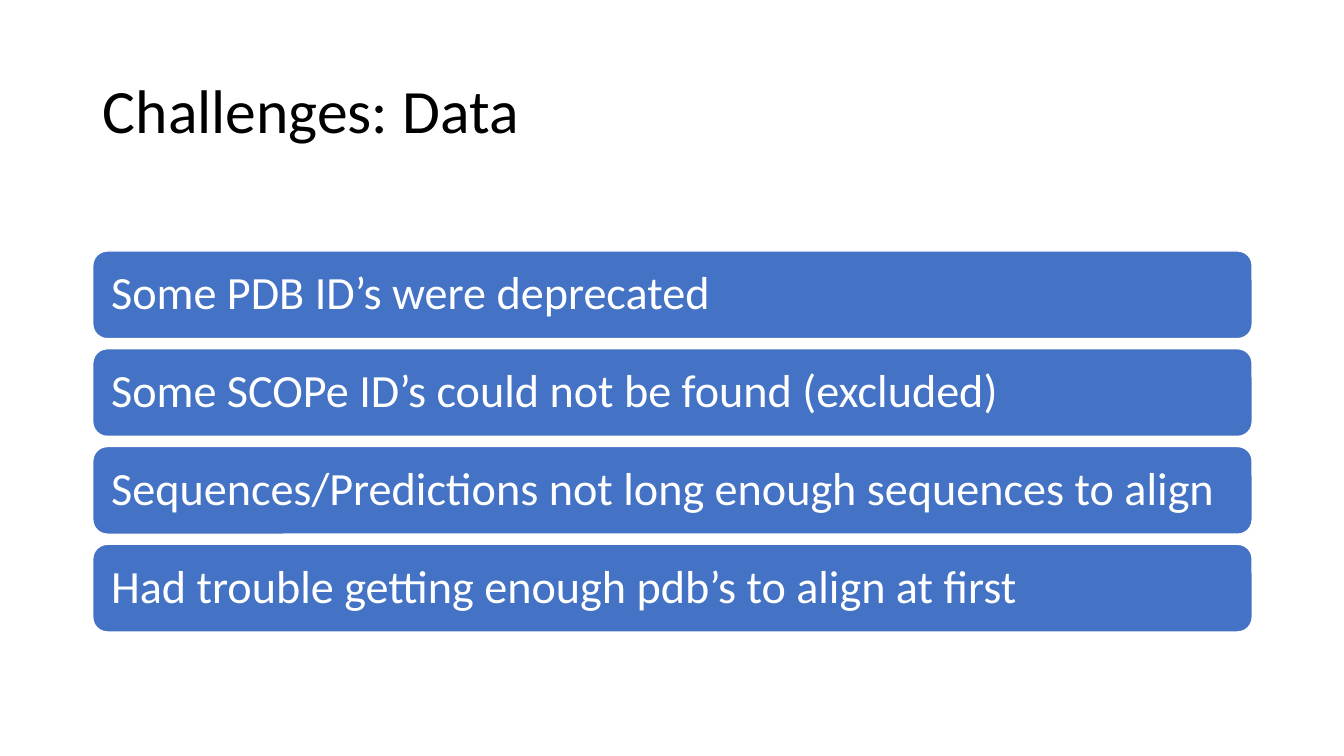
"""Build the slide listing the data challenges as a stack of rounded bars."""
from pptx import Presentation
from pptx.dml.color import RGBColor
from pptx.enum.shapes import MSO_SHAPE
from pptx.enum.text import MSO_ANCHOR, MSO_AUTO_SIZE, PP_ALIGN
from pptx.util import Inches, Pt

ROUNDED = MSO_SHAPE.ROUNDED_RECTANGLE
MIDDLE = MSO_ANCHOR.MIDDLE
LEFT_ALIGNED = PP_ALIGN.LEFT
NO_AUTOFIT = MSO_AUTO_SIZE.NONE

HEADING = "Challenges: Data"
CHALLENGES = [
    "Some PDB ID’s were deprecated",
    "Some SCOPe ID’s could not be found (excluded)",
    "Sequences/Predictions not long enough sequences to align",
    "Had trouble getting enough pdb’s to align at first",
]
FONT = "Calibri"
BLACK, WHITE, BLUE = "000000", "FFFFFF", "4472C4"
LEFT, WIDTH = 0.92, 11.5
FIRST_TOP, BAR_HEIGHT, BAR_STEP = 2.49, 0.87, 0.97
BAR_INSET = Inches(0.14)


def color(hex_value):
    return RGBColor.from_string(hex_value)


def write(frame, text, size, hex_value):
    frame.word_wrap = True
    frame.auto_size = NO_AUTOFIT
    frame.vertical_anchor = MIDDLE
    paragraph = frame.paragraphs[0]
    paragraph.alignment = LEFT_ALIGNED
    paragraph.line_spacing = 0.9
    run = paragraph.add_run()
    run.text = text
    run.font.name = FONT
    run.font.size = Pt(size)
    run.font.color.rgb = color(hex_value)


def add_bar(slide, top, challenge):
    bar = slide.shapes.add_shape(
        ROUNDED, Inches(LEFT), Inches(top), Inches(WIDTH), Inches(BAR_HEIGHT))
    bar.shadow.inherit = False
    bar.fill.solid()
    bar.fill.fore_color.rgb = color(BLUE)
    bar.line.color.rgb = color(WHITE)
    bar.line.width = Pt(1)
    frame = bar.text_frame
    frame.margin_left = frame.margin_right = BAR_INSET
    frame.margin_top = frame.margin_bottom = BAR_INSET
    write(frame, challenge, 33, WHITE)


def main():
    deck = Presentation()
    deck.slide_width, deck.slide_height = Inches(13.33), Inches(7.5)
    slide = deck.slides.add_slide(deck.slide_layouts[5])
    heading = slide.shapes.title
    heading.left, heading.top = Inches(LEFT), Inches(0.4)
    heading.width, heading.height = Inches(WIDTH), Inches(1.45)
    write(heading.text_frame, HEADING, 44, BLACK)
    for row, challenge in enumerate(CHALLENGES):
        add_bar(slide, FIRST_TOP + row * BAR_STEP, challenge)
    deck.save("out.pptx")


if __name__ == "__main__":
    main()
